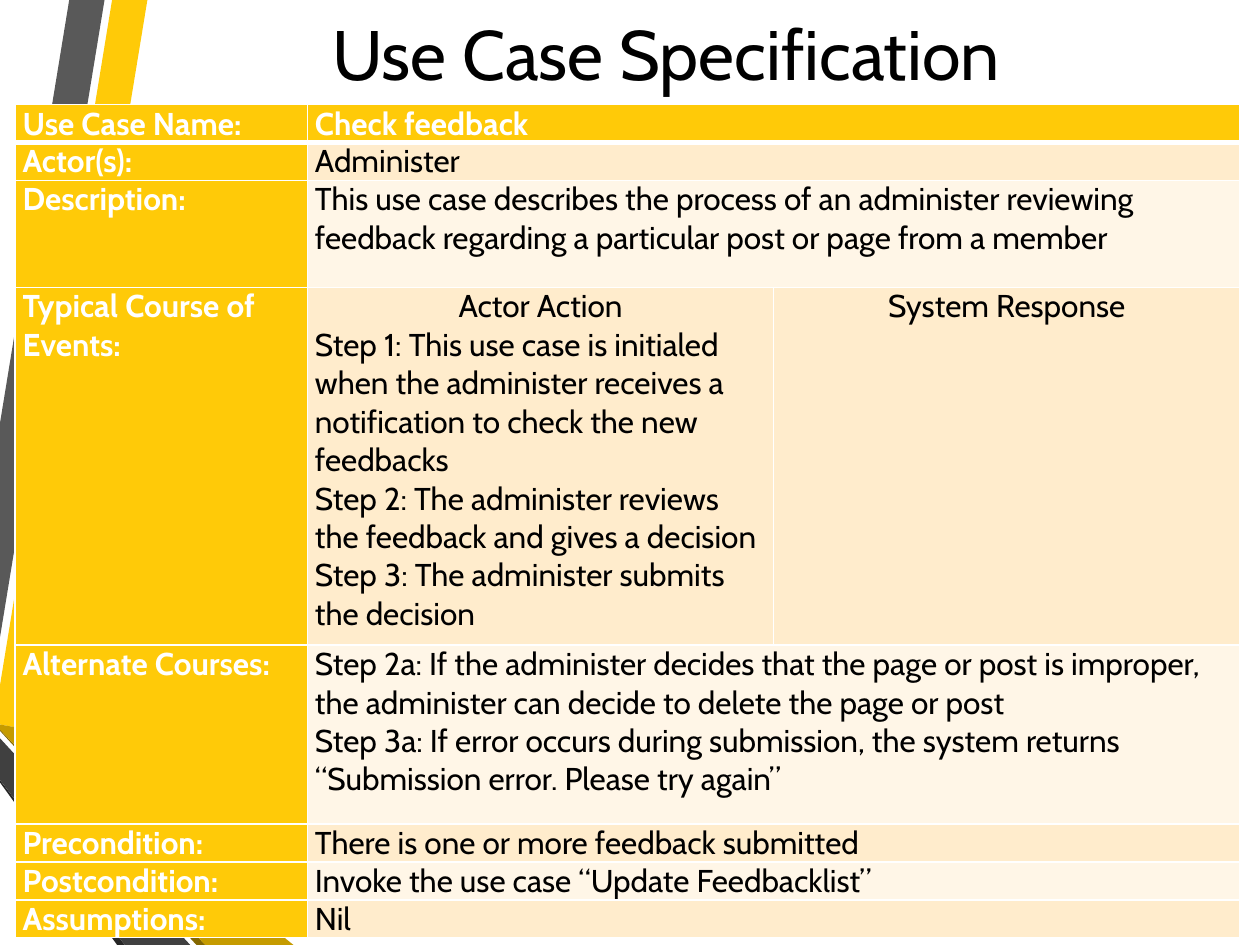
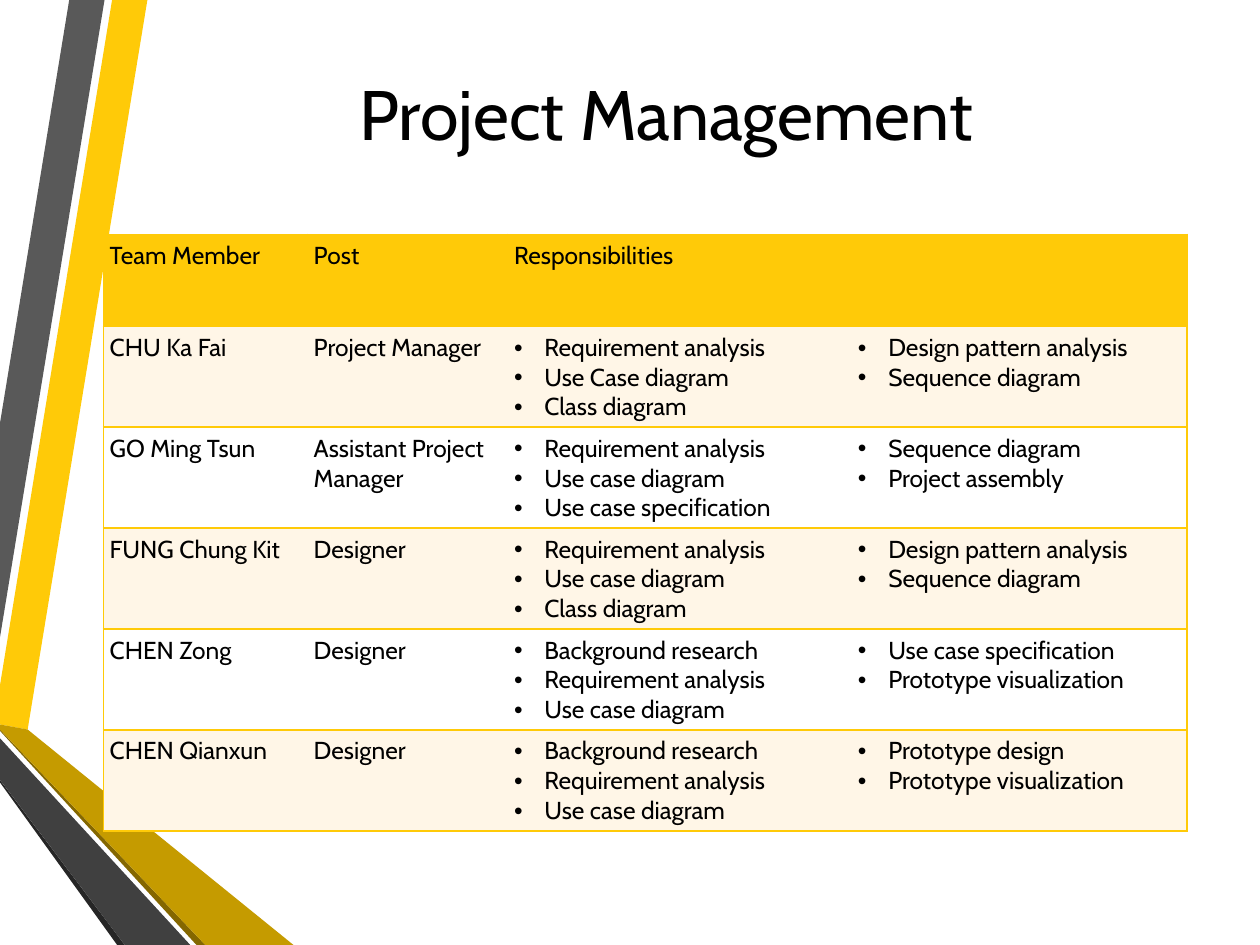
from pptx import Presentation
from pptx.dml.color import RGBColor
from pptx.enum.text import MSO_ANCHOR as Anchor, PP_ALIGN as Align
from pptx.oxml.ns import qn
from pptx.util import Inches, Pt
from lxml.etree import SubElement as Sub

# The slide is a grid of 1000 columns by 750 rows
UNIT = Inches(0.01)
WIDE, HIGH = 1000, 750
FONT = "Cabin"
GOLD = RGBColor(0xFF, 0xCA, 0x08)
OCHRE = RGBColor(0xC5, 0x9B, 0x00)
OLIVE = RGBColor(0x84, 0x67, 0x00)
GREY = RGBColor(0x59, 0x59, 0x59)
DARK = RGBColor(0x40, 0x40, 0x40)
COAL = RGBColor(0x26, 0x26, 0x26)
SAND = RGBColor(0xFF, 0xEC, 0xCC)
CREAM = RGBColor(0xFF, 0xF6, 0xE7)
WHITE = RGBColor(0xFF, 0xFF, 0xFF)
BLACK = RGBColor(0x00, 0x00, 0x00)

# Ribbons at the left edge, from back to front
RIBBONS = [
    (GOLD, [(0, 544), (0, 575), (22, 579), (117, 0), (89, 0)]),
    (GREY, [(83, 0), (55, 0), (0, 336), (0, 506)]),
    (COAL, [(0, 619), (0, 621), (93, HIGH), (99, HIGH)]),
    (OLIVE, [(0, 579), (0, 580), (156, HIGH), (163, HIGH)]),
    (OCHRE, [(0, 579), (163, HIGH), (233, HIGH), (22, 579), (0, 575)]),
    (DARK, [(0, 619), (99, HIGH), (151, HIGH), (0, 586)]),
]

deck = Presentation()
deck.slide_width, deck.slide_height = WIDE * UNIT, HIGH * UNIT


def add_page(title, top, tall, left, head, cols, rows):
    """Add a slide with ribbons and title, and return its empty table."""
    shapes = deck.slides.add_slide(deck.slide_layouts[6]).shapes
    for color, points in RIBBONS:
        pen = shapes.build_freeform(*points[0], scale=UNIT)
        pen.add_line_segments(points[1:], close=True)
        band = pen.convert_to_shape()
        band.shadow.inherit = False
        band.fill.solid()
        band.fill.fore_color.rgb = color
        band.line.fill.background()

    frame = shapes.add_textbox(107 * UNIT, top * UNIT, 843 * UNIT, tall * UNIT).text_frame
    frame.word_wrap = True
    frame.vertical_anchor = Anchor.MIDDLE
    frame.text = title
    para = frame.paragraphs[0]
    para.alignment = Align.CENTER
    font = para.runs[0].font
    font.name, font.size, font.color.rgb = FONT, Pt(40), BLACK

    table = shapes.add_table(len(rows), len(cols), left * UNIT, head * UNIT,
                             sum(cols) * UNIT, sum(rows) * UNIT).table
    table.first_row = table.horz_banding = False
    for col, size in zip(table.columns, cols):
        col.width = size * UNIT
    for row, size in zip(table.rows, rows):
        row.height = size * UNIT
    return table


def set_cell(cell, text, fill, ink, size, pads, edges, bold=False):
    """Style a cell; edges maps L, R, T, B to a colour and a width."""
    cell.margin_left = cell.margin_right = pads[0] * UNIT
    cell.margin_top = cell.margin_bottom = pads[1] * UNIT
    props = cell._tc.get_or_add_tcPr()
    for side in "LRTB":
        line = Sub(props, qn("a:ln" + side))
        if side in edges:
            color, width = edges[side]
            line.set("w", str(Pt(width)))
            Sub(Sub(line, qn("a:solidFill")), qn("a:srgbClr")).set("val", str(color))
        else:
            Sub(line, qn("a:noFill"))
    cell.fill.solid()
    cell.fill.fore_color.rgb = fill
    if text:
        cell.text_frame.text = text
        for para in cell.text_frame.paragraphs:
            font = para.runs[0].font
            font.name, font.size, font.bold = FONT, Pt(size), bold
            font.color.rgb = ink


# Slide 1: use case table; the last cell of a short row spans the rest
CASE = [
    ["Use Case Name:", "Check feedback"],
    ["Actor(s):", "Administer"],
    ["Description:", "This use case describes the process of an administer reviewing "
     "feedback regarding a particular post or page from a member"],
    ["Typical Course of Events:",
     "Actor Action\n"
     "Step 1: This use case is initialed when the administer receives a "
     "notification to check the new feedbacks\n"
     "Step 2: The administer reviews the feedback and gives a decision\n"
     "Step 3: The administer submits the decision",
     "System Response"],
    ["Alternate Courses:",
     "Step 2a: If the administer decides that the page or post is improper, "
     "the administer can decide to delete the page or post\n"
     "Step 3a: If error occurs during submission, the system returns "
     "“Submission error. Please try again”"],
    ["Precondition:", "There is one or more feedback submitted"],
    ["Postcondition:", "Invoke the use case “Update Feedbacklist”"],
    ["Assumptions:", "Nil"],
]
table = add_page("Use Case Specification", 0, 83, 12, 83,
                 [232, 370, 370], [28, 28, 85, 284, 142, 28, 28, 28])
for r, row in enumerate(CASE):
    if len(row) < 3:
        table.cell(r, 1).merge(table.cell(r, 2))
    edges = {side: (WHITE, 1) for side in "LRTB"}
    if r < 2:
        edges["B" if r == 0 else "T"] = (WHITE, 3)
    for c, text in enumerate(row + [""] * (3 - len(row))):
        label = r == 0 or c == 0
        fill = GOLD if label else SAND if r % 2 else CREAM
        set_cell(table.cell(r, c), text, fill, WHITE if label else BLACK,
                 18, (6, 0), edges, label)
for c in (1, 2):
    table.cell(3, c).text_frame.paragraphs[0].alignment = Align.CENTER

# Slide 2: team table
REQ, CASES, CLASSES = "Requirement analysis", "Use case diagram", "Class diagram"
STUDY, SPEC, SEQ = "Background research", "Use case specification", "Sequence diagram"
DESIGN, MOCK = "Design pattern analysis", "Prototype visualization"
TEAM = [
    ("Team Member", "Post", ["Responsibilities"], []),
    ("CHU Ka Fai", "Project Manager", [REQ, "Use Case diagram", CLASSES], [DESIGN, SEQ]),
    ("GO Ming Tsun", "Assistant Project Manager", [REQ, CASES, SPEC],
     [SEQ, "Project assembly"]),
    ("FUNG Chung Kit", "Designer", [REQ, CASES, CLASSES], [DESIGN, SEQ]),
    ("CHEN Zong", "Designer", [STUDY, REQ, CASES], [SPEC, MOCK]),
    ("CHEN Qianxun", "Designer", [STUDY, REQ, CASES], ["Prototype design", MOCK]),
]
table = add_page("Project Management", 15, 148, 82, 186,
                 [162, 159, 273, 266], [73] * len(TEAM))
table.cell(0, 2).merge(table.cell(0, 3))
for r, (name, post, *tasks) in enumerate(TEAM):
    for c, text in enumerate([name, post] + ["\n".join(part) for part in tasks]):
        sides = "LRTB" if r == 0 else {0: "LTB", 3: "RTB"}.get(c, "TB")
        fill = GOLD if r == 0 else CREAM if r % 2 else WHITE
        cell = table.cell(r, c)
        set_cell(cell, text, fill, BLACK, 14, (5, 5),
                 {side: (GOLD, 1) for side in sides})
        if r > 0 and c > 1:
            for para in cell.text_frame.paragraphs:
                props = para._p.get_or_add_pPr()
                props.set("marL", str(24 * UNIT))
                props.set("indent", str(-24 * UNIT))
                Sub(props, qn("a:buFont")).set("typeface", "Arial")
                Sub(props, qn("a:buChar")).set("char", "•")

deck.save("out.pptx")
